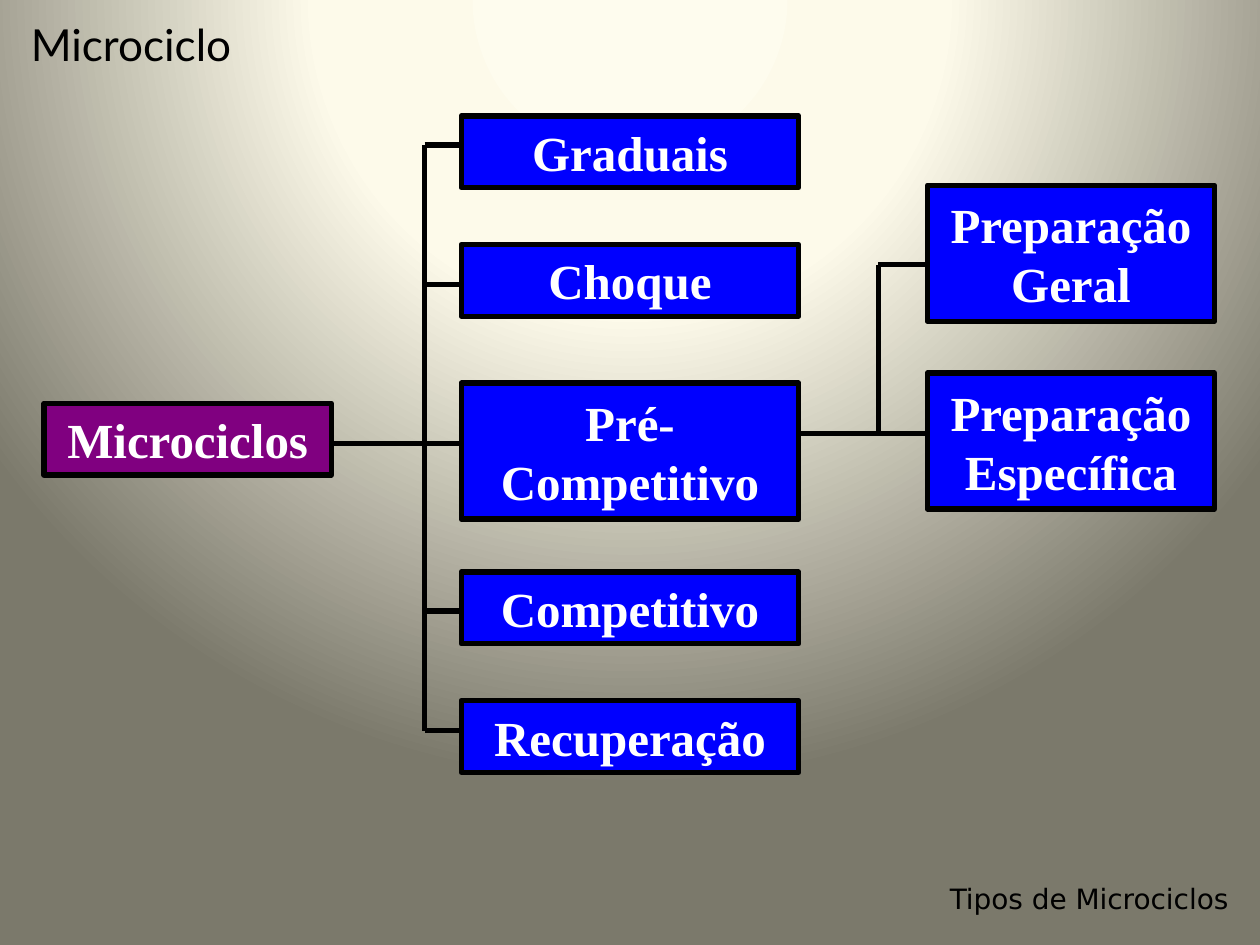
from lxml import etree
from pptx import Presentation
from pptx import util as u
from pptx.dml.color import RGBColor
from pptx.enum import shapes, text
from pptx.oxml import parse_xml
from pptx.oxml.ns import nsdecls, qn

THEME = {
    "root": "800080", "branch": "0000FF", "ink": "000000", "light": "FFFFFF",
    "backdrop": [(0, "FEFCEE"), (40, "FDFAEA"), (100, "7B796B")],
    "line": 3,
    "label": {"name": "Times New Roman", "size": u.Pt(28), "bold": True},
    "title": {"name": "Lato", "size": u.Pt(25.2)},
    "note": {"name": "DejaVu Sans", "size": u.Pt(16)},
}
WIDTH, HEIGHT = 10, 7.5

# Columns: left edge and width; boxes: column, top, number of lines, label, fill
COLUMNS = {"root": (0.35, 2.28), "type": (3.66, 2.68), "phase": (7.36, 2.28)}
BOX_HEIGHTS = {1: 0.57, 2: 1.08}
BOXES = [
    ("type", 0.92, 1, "Graduais", "branch"),
    ("type", 1.94, 1, "Choque", "branch"),
    ("type", 4.54, 1, "Competitivo", "branch"),
    ("type", 3.04, 2, "Pré-Competitivo", "branch"),
    ("type", 5.56, 1, "Recuperação", "branch"),
    ("root", 3.2, 1, "Microciclos", "root"),
    ("phase", 2.96, 2, "Preparação Específica", "branch"),
    ("phase", 1.47, 2, "Preparação Geral", "branch"),
]
# Trees: x where the stem starts, x of the trunk, x where twigs end,
# y of the stem, y of each twig
TREES = [
    (6.32, 6.97, 7.52, 3.44, [2.1]),
    (2.64, 3.37, 3.84, 3.52, [1.15, 2.26, 4.85, 5.8]),
]
TITLE = ("Microciclo", (0.08, 0.08, 1.92, 0.53))
NOTE = ("Tipos de Microciclos", (7.44, 7, 2.56, 0.5))


def inches(*lengths):
    return [u.Inches(length) for length in lengths]


def color(name):
    return RGBColor.from_string(THEME[name])


def paint_backdrop(page):
    """Radial gradient centred above the top edge."""
    stops = "".join(
        f'<a:gs pos="{share * 1000}"><a:srgbClr val="{tone}"/></a:gs>'
        for share, tone in THEME["backdrop"])
    page.background.fill.solid()
    properties = page.element.cSld.find(qn("p:bg")).find(qn("p:bgPr"))
    properties.replace(properties[0], parse_xml(
        f'<a:gradFill {nsdecls("a")} rotWithShape="1"><a:gsLst>{stops}</a:gsLst>'
        '<a:path path="circle"><a:fillToRect l="50000" t="-80000" r="50000" '
        'b="180000"/></a:path></a:gradFill>'))


def add_line(page, *ends):
    line = page.shapes.add_connector(shapes.MSO_CONNECTOR.STRAIGHT, *inches(*ends))
    line.line.color.rgb = color("ink")
    line.line.width = u.Pt(THEME["line"])
    etree.SubElement(line._element.spPr, qn("a:effectLst"))


def add_tree(page, start, trunk, end, stem, twigs):
    add_line(page, start, stem, end, stem)
    add_line(page, trunk, min(twigs + [stem]), trunk, max(twigs + [stem]))
    for twig in twigs:
        add_line(page, trunk, twig, end, twig)


def write(box, words, style, ink, align):
    box.text_frame.word_wrap = True
    para = box.text_frame.paragraphs[0]
    para.alignment = align
    span = para.add_run()
    span.text = words
    span.font.color.rgb = color(ink)
    for key, value in THEME[style].items():
        setattr(span.font, key, value)
    return para


def add_box(page, column, top, lines, label, fill):
    left, width = COLUMNS[column]
    box = page.shapes.add_shape(shapes.MSO_SHAPE.RECTANGLE,
                                *inches(left, top, width, BOX_HEIGHTS[lines]))
    box.shadow.inherit = False
    box.fill.solid()
    box.fill.fore_color.rgb = color(fill)
    box.line.color.rgb = color("ink")
    box.line.width = u.Pt(THEME["line"])
    write(box, label, "label", "light", text.PP_ALIGN.CENTER)
    box.text_frame.vertical_anchor = text.MSO_ANCHOR.MIDDLE


def main():
    deck = Presentation()
    deck.slide_width, deck.slide_height = inches(WIDTH, HEIGHT)
    page = deck.slides.add_slide(deck.slide_layouts[6])
    paint_backdrop(page)
    for tree in TREES:
        add_tree(page, *tree)
    for box in BOXES:
        add_box(page, *box)

    words, place = NOTE
    note = page.shapes.add_textbox(*inches(*place))
    write(note, words, "note", "ink", text.PP_ALIGN.LEFT).line_spacing = 0.8

    words, place = TITLE
    title = page.shapes.add_textbox(*inches(*place))
    write(title, words, "title", "ink", text.PP_ALIGN.CENTER)
    title.text_frame.vertical_anchor = text.MSO_ANCHOR.MIDDLE

    deck.save("out.pptx")


if __name__ == "__main__":
    main()
